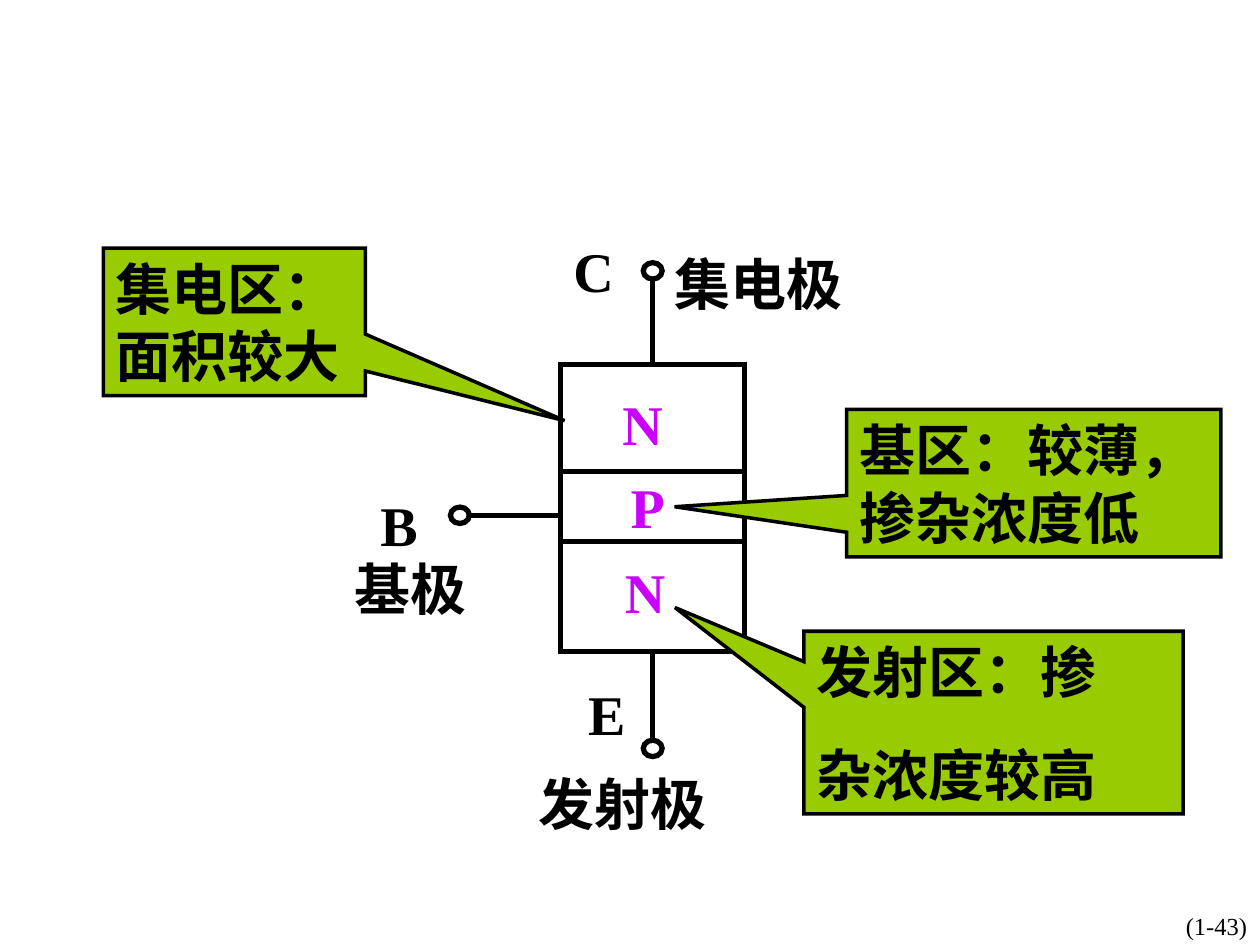
from typing import NamedTuple

from lxml.etree import SubElement
from pptx import Presentation
from pptx.dml.color import RGBColor
from pptx.enum.shapes import MSO_CONNECTOR, MSO_SHAPE
from pptx.enum.text import MSO_ANCHOR, PP_ALIGN
from pptx.oxml.ns import qn
from pptx.util import Inches, Pt

BLACK, GREEN, VIOLET = "000000", "99CC00", "CC00FF"
FONT = "Times New Roman"
MID = 5.18          # centre line of the transistor
LEFT, WIDE = 4.45, 1.46
RING_W, RING_H = 0.15, 0.13


class Label(NamedTuple):
    text: str
    x: float
    y: float
    w: float
    color: str = BLACK
    wrap: bool = False


class Note(NamedTuple):
    lines: list[str]
    x: float
    y: float
    w: float
    h: float
    tip: tuple[float, float]


LAYERS = [(2.89, 0.85), (3.74, 0.56), (4.3, 0.87)]
RINGS = [(MID, 2.15), (3.65, 4.09), (MID, 5.94)]
LABELS = [
    Label("B", 2.92, 3.84, 0.49),
    Label("E", 4.57, 5.34, 0.49),
    Label("C", 4.45, 1.82, 0.52),
    Label("N", 4.84, 3.04, 0.52, VIOLET, True),
    Label("N", 4.86, 4.37, 0.52, VIOLET, True),
    Label("P", 4.88, 3.7, 0.52, VIOLET, True),
    Label("基极", 2.68, 4.35, 1.16),
    Label("发射极", 4.14, 6.05, 1.6),
    Label("集电极", 5.22, 1.93, 1.6),
]
# A tip is measured from the centre of its note, in note widths and heights.
NOTES = [
    Note(["基区：较薄，掺杂浓度低"], 6.72, 3.25, 2.97, 1.17, (-0.96, 0.16)),
    Note(["集电区：面积较大"], 0.82, 1.97, 2.08, 1.17, (1.26, 0.67)),
    Note(["发射区：掺", "杂浓度较高"], 6.38, 5.01, 3.01, 1.45, (-0.84, -0.63)),
]


def rgb(code: str) -> RGBColor:
    return RGBColor.from_string(code)


def write(shape, lines: list[str], *, size: int = 32, bold: bool = True,
          color: str = BLACK, align=PP_ALIGN.CENTER, wrap: bool = True) -> None:
    frame = shape.text_frame
    frame.word_wrap = wrap
    frame.vertical_anchor = MSO_ANCHOR.MIDDLE
    for i, line in enumerate(lines):
        para = frame.paragraphs[0] if i == 0 else frame.add_paragraph()
        if i:
            para.space_before = Pt(20)
        para.alignment = align
        run = para.add_run()
        run.text = line
        font = run.font
        font.name, font.size, font.bold = FONT, Pt(size), bold
        font.color.rgb = rgb(color)


def add_box(slide, kind, x: float, y: float, w: float, h: float,
            fill: str | None = None, line: float = 3):
    """Add an outlined shape with sharp corners."""
    shape = slide.shapes.add_shape(kind, Inches(x), Inches(y), Inches(w), Inches(h))
    shape.shadow.inherit = False
    if fill:
        shape.fill.solid()
        shape.fill.fore_color.rgb = rgb(fill)
    else:
        shape.fill.background()
    shape.line.color.rgb = rgb(BLACK)
    shape.line.width = Pt(line)
    SubElement(shape._element.spPr.find(qn("a:ln")), qn("a:miter"), lim="800000")
    return shape


def add_lead(slide, x1: float, y1: float, x2: float, y2: float):
    """Draw the wire from a layer to its terminal ring."""
    lead = slide.shapes.add_connector(
        MSO_CONNECTOR.STRAIGHT, Inches(x1), Inches(y1), Inches(x2), Inches(y2))
    lead.line.color.rgb = rgb(BLACK)
    lead.line.width = Pt(3)
    SubElement(lead._element.spPr, qn("a:effectLst"))
    return lead


def add_label(slide, item: Label) -> None:
    box = slide.shapes.add_textbox(
        Inches(item.x), Inches(item.y), Inches(item.w), Inches(0.64))
    write(box, [item.text], color=item.color, wrap=item.wrap)


def add_note(slide, note: Note) -> None:
    box = add_box(slide, MSO_SHAPE.RECTANGULAR_CALLOUT,
                  note.x, note.y, note.w, note.h, GREEN, 2)
    box.adjustments[0], box.adjustments[1] = note.tip
    write(box, note.lines, align=PP_ALIGN.LEFT)


def main() -> None:
    deck = Presentation()
    deck.slide_width, deck.slide_height = Inches(10), Inches(7.5)
    slide = deck.slides.add_slide(deck.slide_layouts[6])

    page = slide.shapes.add_textbox(
        Inches(8.69), Inches(7.18), Inches(1.93), Inches(0.33))
    write(page, ["(1-43)"], size=14, bold=False)

    top, _, low = [add_box(slide, MSO_SHAPE.RECTANGLE, LEFT, y, WIDE, h)
                   for y, h in LAYERS]
    add_lead(slide, MID, 2.89, MID, 2.22).begin_connect(top, 0)
    add_lead(slide, LEFT, 4.09, 3.72, 4.09)
    add_lead(slide, MID, 5.17, MID, 5.87).begin_connect(low, 2)
    for x, y in RINGS:
        add_box(slide, MSO_SHAPE.OVAL, x - RING_W / 2, y - RING_H / 2, RING_W, RING_H)

    for item in LABELS:
        add_label(slide, item)
    for note in NOTES:
        add_note(slide, note)
    deck.save("out.pptx")


if __name__ == "__main__":
    main()
